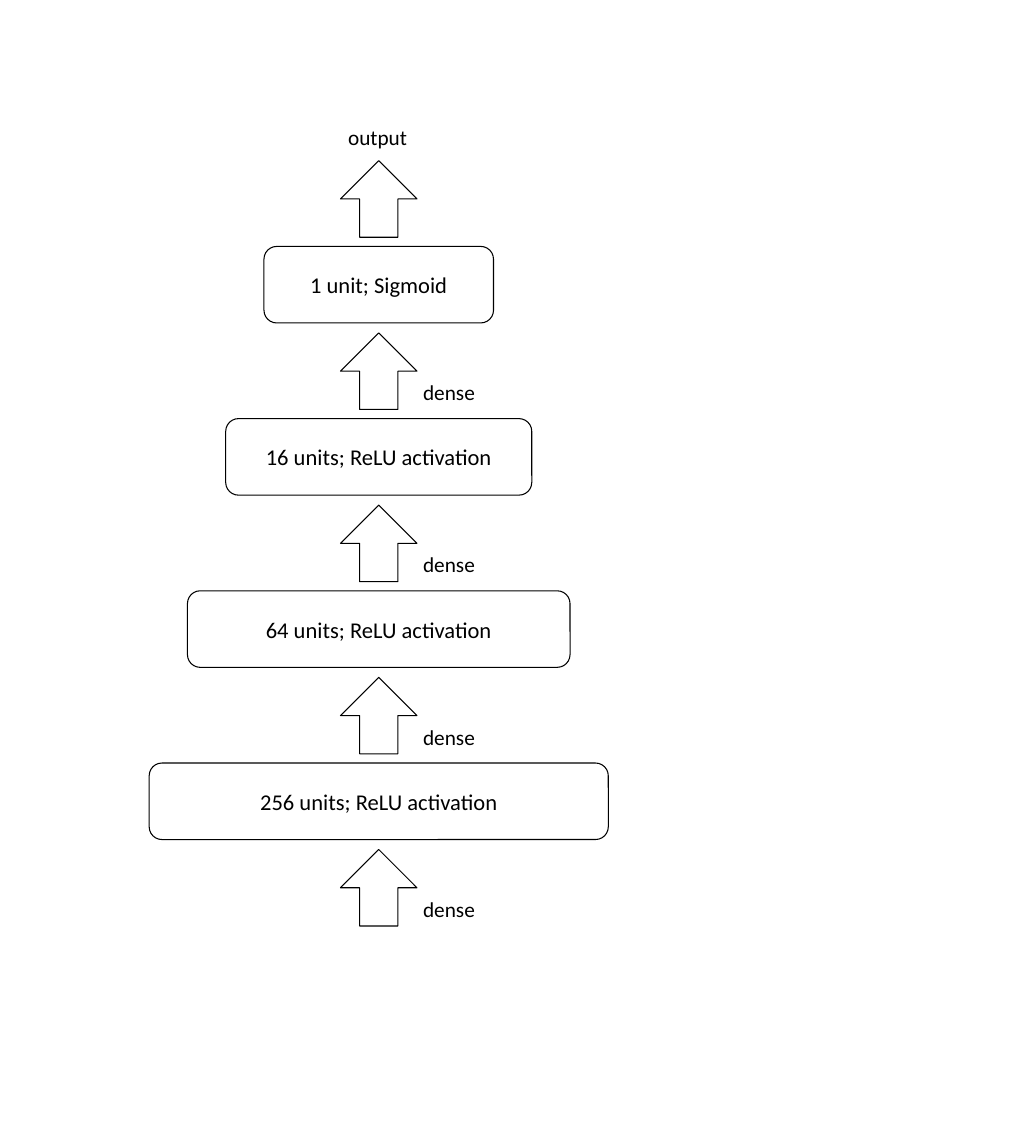
"""Build a slide of a dense network, drawn from its input up to its output."""
from pptx import Presentation
from pptx.dml.color import RGBColor
from pptx.enum import shapes, text
from pptx.util import Inches, Pt

LAYERS = [
    ("1 unit; Sigmoid", 3),
    ("16 units; ReLU activation", 4),
    ("64 units; ReLU activation", 5),
    ("256 units; ReLU activation", 6),
]
LINKS = ["output"] + ["dense"] * len(LAYERS)
COLORS = {"ink": "000000", "paper": "FFFFFF"}
FONT = "Calibri"
MID, TOP, PITCH, SIDE = 4.95, 2.1, 2.25, 1
LABELS = {"output": (4.45, -0.52, 0.98), "dense": (5.43, 0.56, 0.89)}

deck = Presentation()
deck.slide_width, deck.slide_height = Inches(13.33), Inches(15)
slide = deck.slides.add_slide(deck.slide_layouts[6])


def tint(name):
    return RGBColor.from_string(COLORS[name])


def write(frame, words, size):
    run = frame.paragraphs[0].add_run()
    run.text = words
    run.font.name, run.font.size = FONT, Pt(size)
    run.font.color.rgb = tint("ink")


def draw(kind, top, wide):
    place = (MID - wide / 2, top, wide, SIDE)
    shape = slide.shapes.add_shape(kind, *map(Inches, place))
    shape.shadow.inherit = False
    shape.fill.solid()
    shape.fill.fore_color.rgb = tint("paper")
    shape.line.color.rgb = tint("ink")
    shape.line.width = Pt(1)
    return shape


def label(words, top):
    left, drop, wide = LABELS[words]
    box = slide.shapes.add_textbox(*map(Inches, (left, top + drop, wide, 0.44)))
    frame = box.text_frame
    frame.word_wrap = False
    frame.auto_size = text.MSO_AUTO_SIZE.SHAPE_TO_FIT_TEXT
    write(frame, words, 20)


for row, (words, wide) in enumerate(LAYERS):
    top = TOP + PITCH * row + 1.12
    frame = draw(shapes.MSO_SHAPE.ROUNDED_RECTANGLE, top, wide).text_frame
    frame.vertical_anchor = text.MSO_ANCHOR.MIDDLE
    frame.paragraphs[0].alignment = text.PP_ALIGN.CENTER
    write(frame, words, 21.2)

for row, words in enumerate(LINKS):
    top = TOP + PITCH * row
    draw(shapes.MSO_SHAPE.UP_ARROW, top, SIDE)
    label(words, top)

deck.save("out.pptx")
